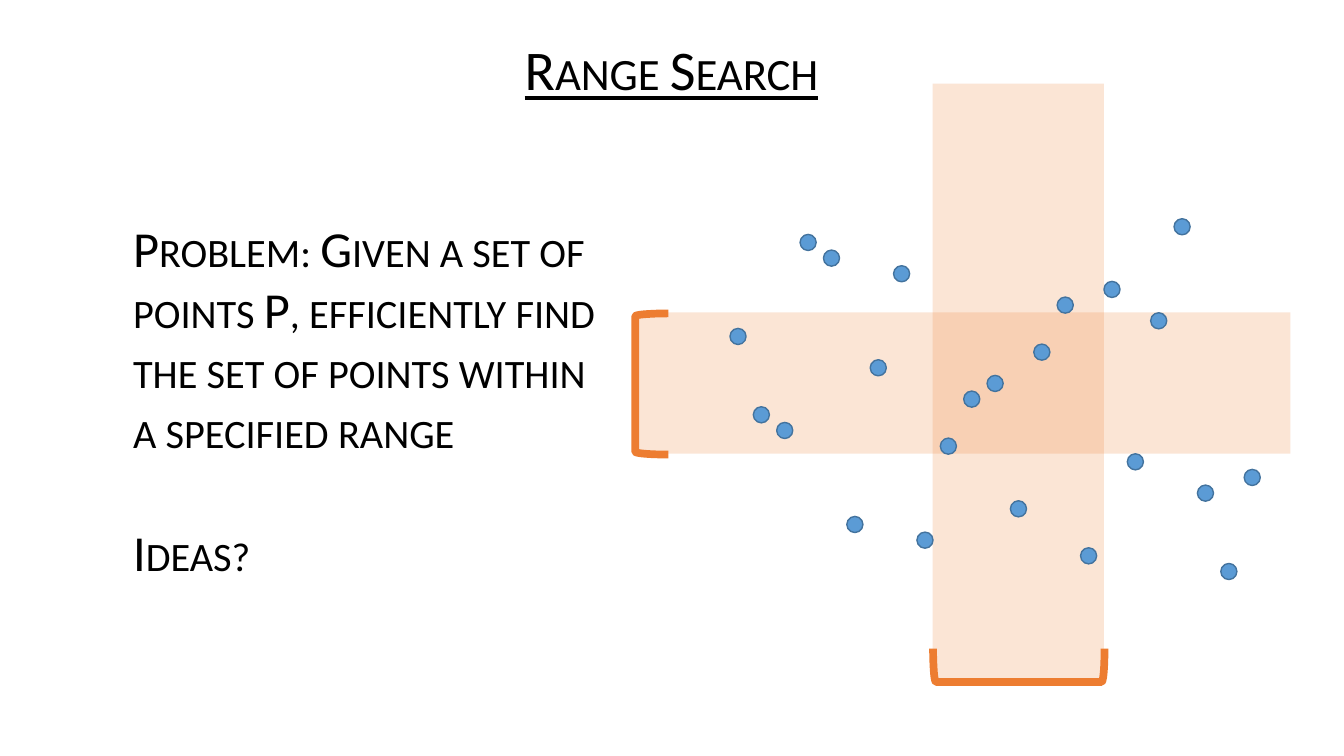
from pptx import Presentation
from pptx.util import Inches, Pt
from pptx.dml.color import RGBColor as RGB
from pptx.enum.shapes import MSO_SHAPE as Kind
from pptx.enum.text import MSO_ANCHOR as Anchor, MSO_AUTO_SIZE as Fit, PP_ALIGN as Align
from lxml import etree
from pptx.oxml.ns import qn

# Content
TITLE = "Range Search"
BODY = [
    # text, space before (one blank line ahead of the question)
    ("Problem: Given a set of points P, efficiently find "
     "the set of points within a specified range", 0),
    ("Ideas?", 44),
]
COLORS = {"text": "000000", "range": "ED7D31", "dot": "5B9BD5", "edge": "43739E"}

# Ranges: left, top, width, height
BANDS = [(9.25, 0.83, 1.7, 5.92), (6.33, 3.1, 6.47, 1.4)]
# Brackets: box and rotation
BRACKETS = [((6.3, 3.11, 0.33, 1.4), 0), ((9.94, 5.75, 0.33, 1.7), 270)]

# One point per column; each number is its row
ROWS = [7, 12, 13, 1, 2, 19, 9, 3, 20, 14, 11, 10,
        18, 8, 5, 21, 4, 15, 6, 0, 17, 22, 16]
DOT = 0.16
LEFT, TOP = 7.24, 2.17
DX, DY = 5.1 / 22, 3.42 / 22


def color(name):
    return RGB.from_string(COLORS[name])


def place(shape, box):
    shape.left, shape.top, shape.width, shape.height = map(Inches, box)


def add_shape(kind, box, fill=None, line=None, width=1):
    shape = slide.shapes.add_shape(kind, *map(Inches, box))
    shape.shadow.inherit = False
    if fill:
        shape.fill.solid()
        shape.fill.fore_color.rgb = color(fill)
    else:
        shape.fill.background()
    if line:
        shape.line.color.rgb = color(line)
        shape.line.width = Pt(width)
    else:
        shape.line.fill.background()
    return shape


def set_frame(shape, box):
    place(shape, box)
    frame = shape.text_frame
    frame.word_wrap = True
    frame.auto_size = Fit.NONE
    frame.vertical_anchor = Anchor.MIDDLE
    return frame


def add_run(para, text, size, under=None):
    run = para.add_run()
    run.text = text
    font = run.font
    font.name, font.size, font.underline = "Calibri", Pt(size), under
    font.color.rgb = color("text")
    run._r.get_or_add_rPr().set("cap", "small")


prs = Presentation()
prs.slide_width, prs.slide_height = Inches(13.33), Inches(7.5)
slide = prs.slides.add_slide(prs.slide_layouts[1])
title, body = slide.placeholders

# Title
para = set_frame(title, (1.74, 0.29, 9.84, 0.85)).paragraphs[0]
para.alignment = Align.CENTER
para.line_spacing = 0.9
add_run(para, TITLE, 40, True)

# Body text, indented without bullets
frame = set_frame(body, (0.72, 1.32, 5.36, 5.28))
for i, (text, gap) in enumerate(BODY):
    para = frame.add_paragraph() if i else frame.paragraphs[0]
    para.space_before = Pt(gap)
    props = para._p.get_or_add_pPr()
    props.set("marL", str(Inches(0.5)))
    props.set("indent", "0")
    etree.SubElement(props, qn("a:buNone"))
    add_run(para, text, 36)

# Translucent ranges
for box in BANDS:
    band = add_shape(Kind.RECTANGLE, box, "range")
    tint = band._element.spPr.find(qn("a:solidFill"))[0]
    etree.SubElement(tint, qn("a:alpha"), val="20000")

# Points
for col, row in enumerate(ROWS):
    add_shape(Kind.OVAL, (LEFT + col * DX, TOP + row * DY, DOT, DOT), "dot", "edge")

# Brackets
for box, turn in BRACKETS:
    add_shape(Kind.LEFT_BRACKET, box, line="range", width=5.5).rotation = turn

prs.save("out.pptx")
